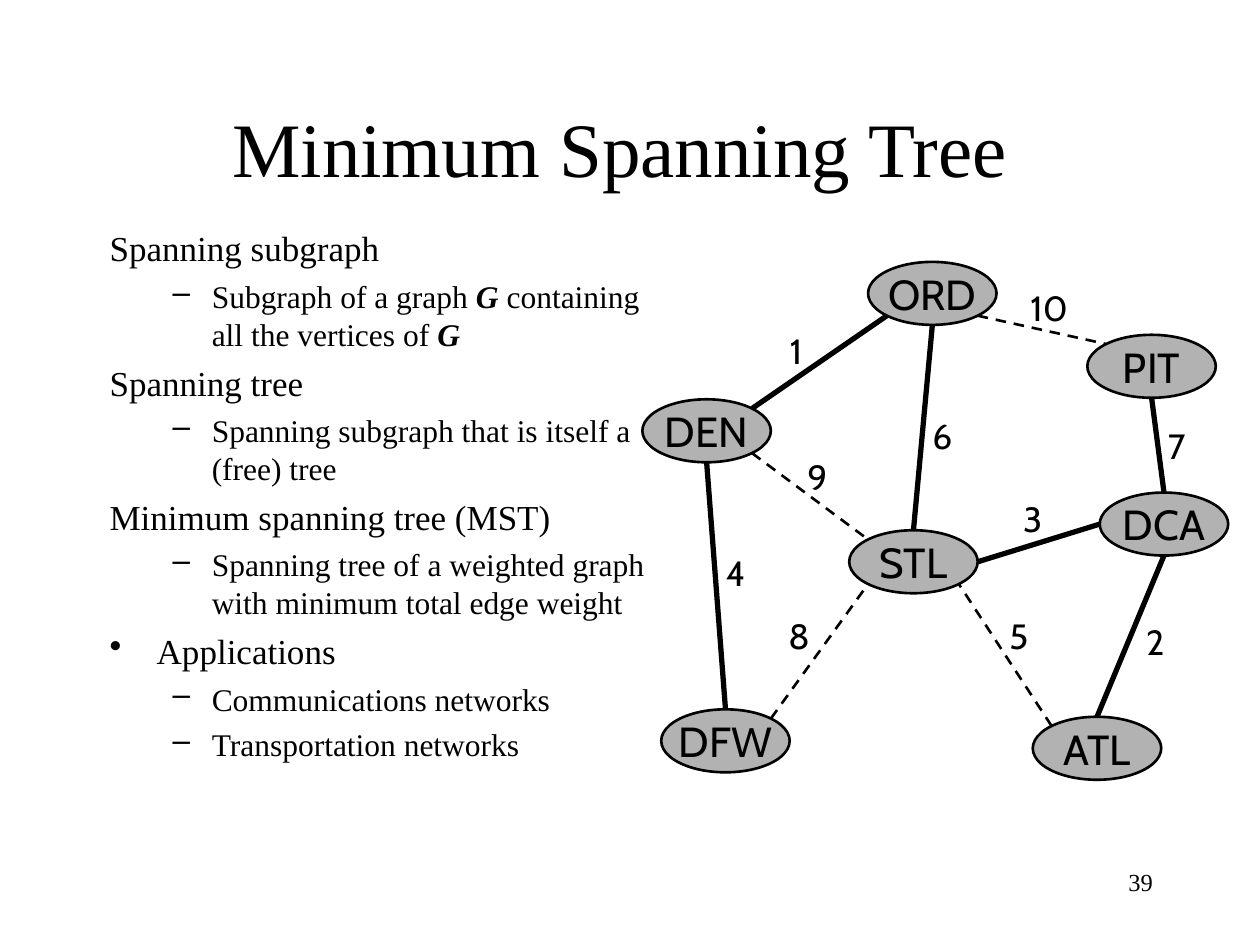
from collections import namedtuple
from dataclasses import dataclass
from math import cos, radians, sin

from lxml.etree import SubElement
from pptx import Presentation
from pptx.dml.color import RGBColor
from pptx.enum.dml import MSO_LINE_DASH_STYLE as Dash
from pptx.enum.shapes import MSO_CONNECTOR as Connector, MSO_SHAPE as Shape
from pptx.enum.text import MSO_ANCHOR as Anchor, MSO_AUTO_SIZE as AutoSize, PP_ALIGN as Align
from pptx.oxml.ns import qn
from pptx.util import Cm, Pt

Box = namedtuple("Box", "left top width height")
Edge = namedtuple("Edge", "start start_angle end end_angle weight label_x label_y in_tree")


@dataclass(frozen=True)
class Theme:
    """Colours, fonts and point sizes of the slide."""
    ink: RGBColor = RGBColor(0, 0, 0)
    node_fill: RGBColor = RGBColor(0xB2, 0xB2, 0xB2)
    text_font: str = "Times New Roman"
    graph_font: str = "Cabin"
    title_size: float = 44
    topic_size: float = 20
    detail_size: float = 18
    number_size: float = 14
    node_size: float = 24
    weight_size: float = 20
    thin: float = 1.5
    thick: float = 3


THEME = Theme()
NODE_WIDTH, NODE_HEIGHT = 2.59, 1.27
LABEL_HEIGHT = 1.12
RIGHT, LOWER_RIGHT, BOTTOM, LOWER_LEFT, LEFT, UPPER_LEFT, TOP, UPPER_RIGHT = range(0, 360, 45)

OUTLINE = [
    (0, "", "Spanning subgraph"),
    (1, "–", "Subgraph of a graph *G* containing all the vertices of *G*"),
    (0, "", "Spanning tree"),
    (1, "–", "Spanning subgraph that is itself a (free) tree"),
    (0, "", "Minimum spanning tree (MST)"),
    (1, "–", "Spanning tree of a weighted graph with minimum total edge weight"),
    (0, "•", "Applications"),
    (1, "–", "Communications networks"),
    (1, "–", "Transportation networks"),
]

NODES = {
    "ORD": (4.55, 0),
    "PIT": (8.97, 1.47),
    "ATL": (7.87, 9.17),
    "STL": (4.17, 5.41),
    "DEN": (0, 2.77),
    "DFW": (0.38, 9.02),
    "DCA": (9.22, 4.65),
}

EDGES = [
    Edge("DEN", UPPER_RIGHT, "ORD", LOWER_LEFT, "1", 3.1, 1.8, True),
    Edge("STL", TOP, "ORD", BOTTOM, "6", 6.05, 3.51, True),
    Edge("STL", RIGHT, "DCA", LEFT, "3", 7.87, 5.18, True),
    Edge("DCA", TOP, "PIT", BOTTOM, "7", 10.77, 3.71, True),
    Edge("ORD", LOWER_RIGHT, "PIT", UPPER_LEFT, "10", 8.2, 0.94, False),
    Edge("DEN", BOTTOM, "DFW", TOP, "4", 1.88, 6.27, True),
    Edge("DCA", BOTTOM, "ATL", TOP, "2", 10.34, 7.67, True),
    Edge("ATL", UPPER_LEFT, "STL", LOWER_RIGHT, "5", 7.59, 7.54, False),
    Edge("DFW", UPPER_RIGHT, "STL", LOWER_LEFT, "8", 3.15, 7.54, False),
    Edge("DEN", LOWER_RIGHT, "STL", UPPER_LEFT, "9", 3.53, 4.34, False),
]


def lengths(*values):
    """Turn numbers in centimetres into lengths."""
    return [Cm(value) for value in values]


def style_font(font, name, size):
    """Give a font its face, size and colour."""
    font.name, font.size = name, Pt(size)
    font.color.rgb = THEME.ink


def set_line(shape, text, name, size, align, wrap=True):
    """Write one formatted line of text into a shape."""
    frame = shape.text_frame
    frame.word_wrap = wrap
    frame.text = text
    paragraph = frame.paragraphs[0]
    paragraph.alignment = align
    style_font(paragraph.runs[0].font, name, size)


def place_title(slide, box):
    """Move and format the title placeholder."""
    title = slide.shapes.title
    title.left, title.top, title.width, title.height = lengths(*box)
    set_line(title, "Minimum Spanning Tree", THEME.text_font, THEME.title_size, Align.CENTER)
    title.text_frame.auto_size = AutoSize.NONE
    title.text_frame.vertical_anchor = Anchor.BOTTOM


def format_bullet(paragraph, level, bullet):
    """Set the hanging indent and the bullet sign of a paragraph."""
    margin, hang = ((0.95, 0.95), (2.06, 0.79))[level]
    properties = paragraph._p.get_or_add_pPr()
    properties.set("marL", str(Cm(margin)))
    properties.set("indent", str(-Cm(hang)))
    if bullet:
        SubElement(properties, qn("a:buChar")).set("char", bullet)
    else:
        SubElement(properties, qn("a:buNone"))


def place_outline(slide, box):
    """Write the definitions, with text between asterisks in bold italics."""
    frame = slide.shapes.add_textbox(*lengths(*box)).text_frame
    frame.word_wrap = True
    for index, (level, bullet, text) in enumerate(OUTLINE):
        paragraph = frame.add_paragraph() if index else frame.paragraphs[0]
        paragraph.level = level
        size = THEME.detail_size if level else THEME.topic_size
        paragraph.space_before = Pt(size / 4)
        format_bullet(paragraph, level, bullet)
        for position, part in enumerate(text.split("*")):
            if part:
                run = paragraph.add_run()
                run.text = part
                style_font(run.font, THEME.text_font, size)
                run.font.bold = run.font.italic = position % 2 == 1


def add_node(slide, box, name):
    """Draw one airport of the graph."""
    left, top = NODES[name]
    node = slide.shapes.add_shape(
        Shape.OVAL, *lengths(box.left + left, box.top + top, NODE_WIDTH, NODE_HEIGHT))
    node.shadow.inherit = False
    node.fill.solid()
    node.fill.fore_color.rgb = THEME.node_fill
    node.line.color.rgb = THEME.ink
    node.line.width = Pt(THEME.thin)
    set_line(node, name, THEME.graph_font, THEME.node_size, Align.CENTER, wrap=False)
    node.text_frame.vertical_anchor = Anchor.MIDDLE


def rim_point(box, name, angle):
    """Find the point on a node's rim at a clockwise angle from the right."""
    left, top = NODES[name]
    across, down = cos(radians(angle)), sin(radians(angle))
    return lengths(box.left + left + NODE_WIDTH / 2 * (1 + across),
                   box.top + top + NODE_HEIGHT / 2 * (1 + down))


def add_edge(slide, box, edge):
    """Draw an edge, solid when it belongs to the tree and dashed otherwise."""
    connector = slide.shapes.add_connector(
        Connector.STRAIGHT,
        *rim_point(box, edge.start, edge.start_angle),
        *rim_point(box, edge.end, edge.end_angle))
    connector.line.color.rgb = THEME.ink
    connector.line.width = Pt(THEME.thick if edge.in_tree else THEME.thin)
    if not edge.in_tree:
        connector.line.dash_style = Dash.DASH
    SubElement(connector._element.spPr, qn("a:effectLst"))


def add_weight(slide, box, edge):
    """Write the weight centred on its label point."""
    width = 0.5 + 0.41 * len(edge.weight)
    label = slide.shapes.add_textbox(*lengths(
        box.left + edge.label_x - width / 2, box.top + edge.label_y - LABEL_HEIGHT / 2,
        width, LABEL_HEIGHT))
    set_line(label, edge.weight, THEME.graph_font, THEME.weight_size, Align.CENTER, wrap=False)


def place_graph(slide, box):
    """Draw the weighted graph with its minimum spanning tree."""
    for name in NODES:
        add_node(slide, box, name)
    for edge in EDGES:
        add_edge(slide, box, edge)
    for edge in EDGES:
        add_weight(slide, box, edge)


def place_number(slide, box):
    """Write the page number."""
    number = slide.shapes.add_textbox(*lengths(*box))
    set_line(number, "39", THEME.text_font, THEME.number_size, Align.RIGHT)


def main():
    """Build and save the slide."""
    presentation = Presentation()
    presentation.slide_width, presentation.slide_height = lengths(25.4, 19.05)
    slide = presentation.slides.add_slide(presentation.slide_layouts[5])
    place_number(slide, Box(18.21, 17.35, 5.28, 1.27))
    place_title(slide, Box(1.7, 0.84, 21.59, 3.18))
    place_outline(slide, Box(1.96, 4.45, 11.35, 13.13))
    place_graph(slide, Box(12.95, 5.28, 11.81, 10.44))
    presentation.save("out.pptx")


if __name__ == "__main__":
    main()
